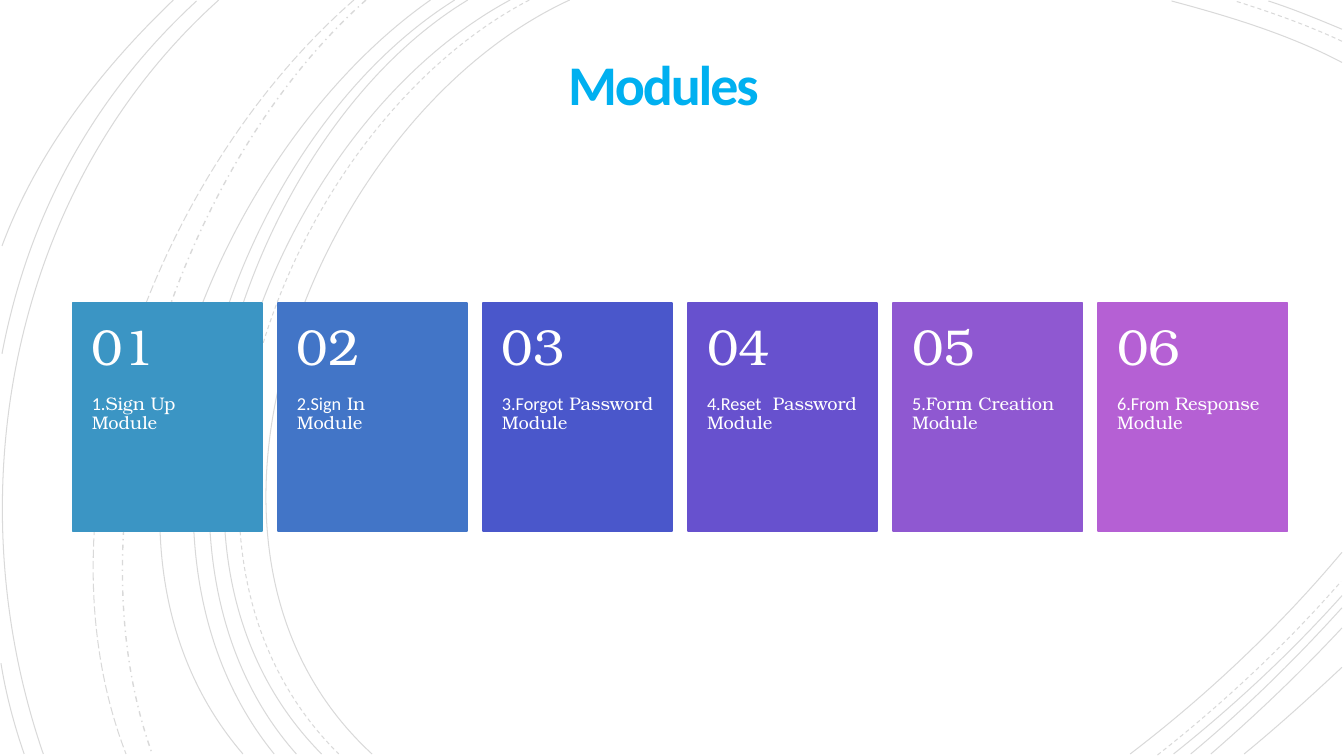
from pptx import Presentation
from pptx.dml.color import RGBColor
from pptx.enum.dml import MSO_LINE
from pptx.enum.shapes import MSO_SHAPE
from pptx.enum.text import MSO_ANCHOR, PP_ALIGN
from pptx.oxml.ns import qn
from pptx.util import Inches, Pt
from lxml.etree import SubElement

WHITE = RGBColor(0xFF, 0xFF, 0xFF)
BLACK = RGBColor(0x00, 0x00, 0x00)
SKY = RGBColor(0x00, 0xB0, 0xF0)
SANS, SERIF = "Calibri", "TeX Gyre Bonum"

TITLE = "Modules"
CARDS = [
    (RGBColor(0x3B, 0x95, 0xC4), [("1.", SANS), ("Sign Up Module", SERIF)]),
    (RGBColor(0x42, 0x75, 0xC7),
     [("2.Sign", SANS), (" In", SERIF), (" ", SERIF, 8.5), ("Module", SERIF)]),
    (RGBColor(0x4A, 0x57, 0xCB), [("3.Forgot", SANS), (" Password Module", SERIF)]),
    (RGBColor(0x67, 0x51, 0xCE),
     [("4.Reset", SANS), (" ", SERIF, 4), ("Password Module", SERIF)]),
    (RGBColor(0x8F, 0x58, 0xD1), [("5.", SANS), ("Form Creation Module", SERIF)]),
    (RGBColor(0xB5, 0x60, 0xD4), [("6.From", SANS), (" Response Module", SERIF)]),
]

ARCS = {
    MSO_LINE.SOLID: [
        [(5.65, 0), (3.15, 1.15), (1.43, 5.4), (3.69, 7.48)],
        [(13.31, 0.62), (12.78, 0.34), (12.18, 0.16), (11.62, 0.01)],
        [(11.21, 7.48), (11.97, 6.9), (12.69, 6.22), (13.31, 5.48)],
        [(5.06, 0), (2.7, 1.27), (1.1, 5.37), (3.19, 7.48)],
        [(13.31, 0.29), (13.07, 0.19), (12.83, 0.09), (12.58, 0.01)],
        [(11.64, 7.48), (12.23, 7.01), (12.8, 6.48), (13.31, 5.91)],
        [(4.64, 0), (2.44, 1.33), (1.1, 5.41), (2.94, 7.48)],
        [(11.81, 7.48), (12.34, 7.04), (12.84, 6.55), (13.31, 6.03)],
        [(4.51, 0), (2.31, 1.38), (0.97, 5.33), (2.72, 7.48)],
        [(12.01, 7.48), (12.46, 7.09), (12.9, 6.67), (13.31, 6.23)],
        [(4.27, 0), (2.17, 1.47), (0.53, 5.29), (2.41, 7.48)],
        [(12.34, 7.48), (12.67, 7.21), (12.99, 6.92), (13.31, 6.62)],
        [(2.17, 0), (0.11, 1.85), (-0.46, 4.9), (0.43, 7.48)],
        [(1.95, 0.01), (0.92, 0.96), (0.28, 2.14), (0.02, 3.51)],
        [(0.01, 6.58), (0.06, 6.89), (0.14, 7.19), (0.24, 7.48)],
        [(1.72, 0), (1, 0.69), (0.37, 1.5), (0.02, 2.44)],
    ],
    MSO_LINE.DASH: [
        [(5.25, 0), (2.85, 1.25), (1.23, 5.37), (3.36, 7.48)],
        [(13.31, 0.41), (12.97, 0.25), (12.6, 0.12), (12.25, 0.01)],
        [(11.48, 7.49), (12.13, 6.98), (12.75, 6.4), (13.3, 5.77)],
    ],
    MSO_LINE.DASH_DOT: [[(3.63, 0), (1.76, 1.66), (0.65, 5.09), (1.51, 7.48)]],
    MSO_LINE.LONG_DASH: [[(3.51, 0), (1.57, 1.69), (0.29, 4.99), (1.25, 7.48)]],
}

CARD_LEFT, CARD_TOP, CARD_WIDTH, CARD_HEIGHT = 0.72, 3.01, 1.88, 2.26
LAST_CARD_LEFT = 10.89
CARD_PITCH = (LAST_CARD_LEFT - CARD_LEFT) / (len(CARDS) - 1)
NUMBER_HEIGHT = 0.4 * CARD_HEIGHT


def add_text(page, spans, area, *, size, color, insets, anchor=MSO_ANCHOR.TOP,
             align=PP_ALIGN.LEFT, bold=False, leading=0.9, spacing=0):
    box = page.shapes.add_textbox(*map(Inches, area))
    frame = box.text_frame
    frame.word_wrap = True
    frame.vertical_anchor = anchor
    (frame.margin_left, frame.margin_top,
     frame.margin_right, frame.margin_bottom) = map(Inches, insets)
    para = frame.paragraphs[0]
    para.alignment = align
    para.line_spacing = leading
    for text, font, *gap in spans:
        span = para.add_run()
        span.text = text
        span.font.name = font
        span.font.size = Pt(size)
        span.font.bold = bold
        span.font.color.rgb = color
        tracking = gap[0] if gap else spacing
        if tracking:
            span.font._element.set("spc", str(round(tracking * 100)))


def add_arc(page, points, dash):
    start, *rest = [(Inches(x), Inches(y)) for x, y in points]
    builder = page.shapes.build_freeform(*start)
    builder.add_line_segments(rest, close=False)
    arc = builder.convert_to_shape()
    arc.shadow.inherit = False
    arc.fill.background()
    arc.line.color.rgb = BLACK
    arc.line.width = Pt(1 if dash == MSO_LINE.DASH_DOT else 0.75)
    arc.line.dash_style = dash
    color = arc._element.xpath(".//a:ln//a:srgbClr")[0]
    SubElement(color, qn("a:alpha")).set("val", "15000")
    segments = arc._element.xpath(".//a:lnTo")
    outline = segments[0].getparent()
    curve = SubElement(outline, qn("a:cubicBezTo"))
    for segment in segments:
        curve.append(segment[0])
        outline.remove(segment)


def add_card(page, index, fill, spans):
    left = CARD_LEFT + index * CARD_PITCH
    card = page.shapes.add_shape(
        MSO_SHAPE.RECTANGLE,
        *map(Inches, (left, CARD_TOP, CARD_WIDTH, CARD_HEIGHT)))
    card.shadow.inherit = False
    card.fill.solid()
    card.fill.fore_color.rgb = fill
    card.line.color.rgb = fill
    card.line.width = Pt(1.25)
    add_text(page, spans,
             (left, CARD_TOP + NUMBER_HEIGHT, CARD_WIDTH, CARD_HEIGHT - NUMBER_HEIGHT),
             size=13, color=WHITE, insets=(0.19, 0, 0.19, 0.36))
    add_text(page, [(f"{index + 1:02d}", SERIF)],
             (left, CARD_TOP, CARD_WIDTH, NUMBER_HEIGHT),
             size=36, color=WHITE, insets=(0.19, 0.18, 0.19, 0.18),
             anchor=MSO_ANCHOR.MIDDLE)


def main():
    deck = Presentation()
    deck.slide_width, deck.slide_height = Inches(13.33), Inches(7.5)
    page = deck.slides.add_slide(deck.slide_layouts[6])
    page.background.fill.solid()
    page.background.fill.fore_color.rgb = WHITE
    for dash, arcs in ARCS.items():
        for points in arcs:
            add_arc(page, points, dash)
    add_text(page, [(TITLE, SANS)], (2.87, 0.3, 7.84, 1.15), size=40, color=SKY,
             insets=(0.25, 0.25, 0.67, 0.25), anchor=MSO_ANCHOR.MIDDLE,
             align=PP_ALIGN.CENTER, bold=True, leading=0.85, spacing=-1.5)
    for index, (fill, spans) in enumerate(CARDS):
        add_card(page, index, fill, spans)
    deck.save("out.pptx")


if __name__ == "__main__":
    main()
